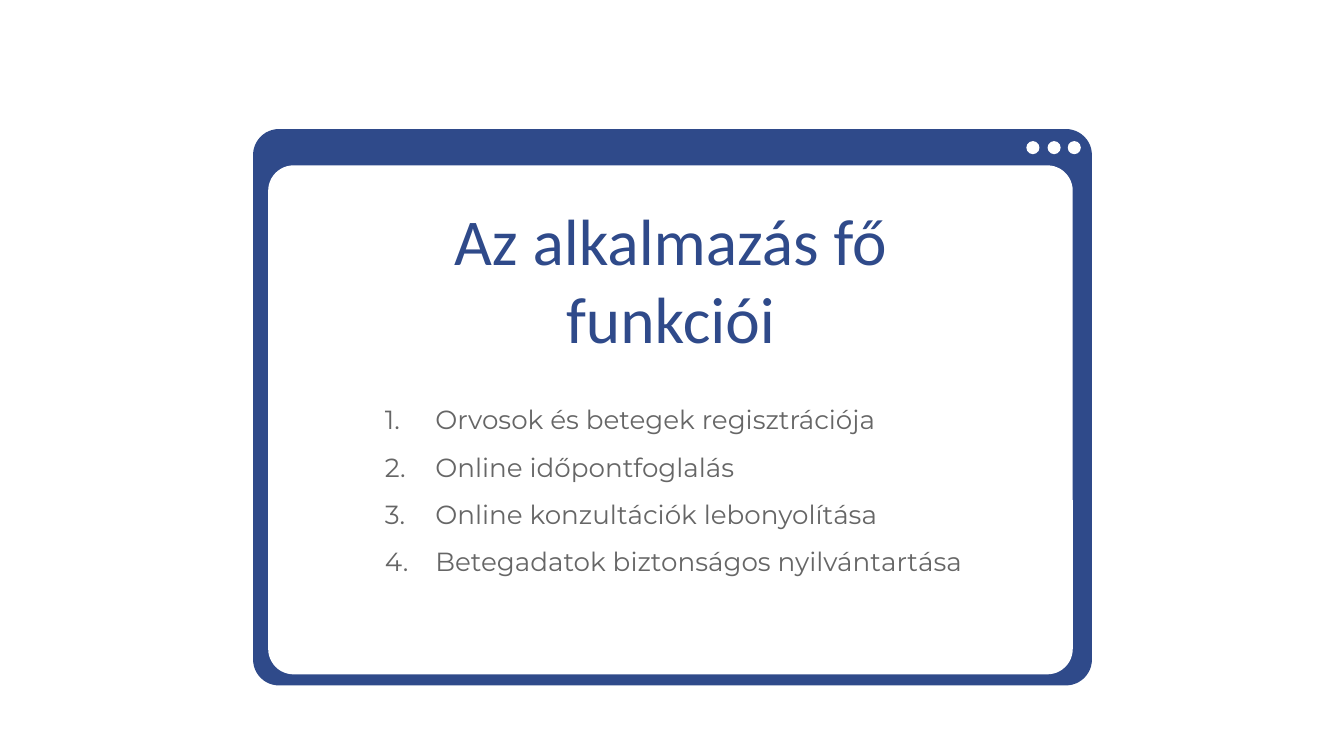
from lxml import etree
from pptx import Presentation
from pptx.dml.color import RGBColor
from pptx.enum.shapes import MSO_SHAPE
from pptx.enum.text import MSO_ANCHOR, PP_ALIGN
from pptx.oxml.ns import qn
from pptx.util import Pt

PX = 9144  # 100 px to the inch
ROUND, OVAL = MSO_SHAPE.ROUNDED_RECTANGLE, MSO_SHAPE.OVAL
TOP, BOTTOM = MSO_ANCHOR.TOP, MSO_ANCHOR.BOTTOM
CENTER, JUSTIFY = PP_ALIGN.CENTER, PP_ALIGN.JUSTIFY
COLORS = {"blue": "2F4A8A", "white": "FFFFFF", "gray": "666666"}

deck = Presentation()
deck.slide_width, deck.slide_height = 1333 * PX, 750 * PX
slide = deck.slides.add_slide(deck.slide_layouts[6])


def add_form(kind, box, color):
    form = slide.shapes.add_shape(kind, *[n * PX for n in box])
    form.shadow.inherit = False
    form.fill.solid()
    form.fill.fore_color.rgb = RGBColor.from_string(COLORS[color])
    form.line.fill.background()
    return form


def add_text(box, lines, anchor, align, font):
    """Add a text box with one paragraph per line and return its paragraphs."""
    frame = slide.shapes.add_textbox(*[n * PX for n in box]).text_frame
    frame.word_wrap = True
    frame.vertical_anchor = anchor
    for side in ("left", "top", "right", "bottom"):
        setattr(frame, "margin_" + side, 10 * PX)
    frame.text = "\n".join(lines)
    for para in frame.paragraphs:
        para.alignment = align
        run = para.runs[0]
        for name in ("name", "size"):
            setattr(run.font, name, font[name])
        run.font.color.rgb = RGBColor.from_string(COLORS[font["color"]])
    return frame.paragraphs


# Browser window
window = add_form(ROUND, (251, 128, 832, 552), "blue")
window.adjustments[0] = 0.14 / 3
page = add_form(ROUND, (266, 164, 798, 505), "white")
page.adjustments[0] = 0.05
for left in (1059, 1039, 1018):
    add_form(OVAL, (left, 140, 13, 13), "white")

# Numbered list of functions
items = [
    "Orvosok és betegek regisztrációja",
    "Online időpontfoglalás",
    "Online konzultációk lebonyolítása",
    "Betegadatok biztonságos nyilvántartása",
]
body = {"name": "Montserrat", "size": Pt(18.7), "color": "gray"}
for para in add_text((356, 375, 618, 238), items, TOP, JUSTIFY, body):
    para.line_spacing = 1.5
    props = para._p.get_or_add_pPr()
    props.set("marL", str(66 * PX))
    props.set("indent", str(-50 * PX))
    tint = etree.SubElement(props, qn("a:buClr"))
    etree.SubElement(tint, qn("a:srgbClr"), val=COLORS["gray"])
    etree.SubElement(props, qn("a:buFont"), typeface="Montserrat")
    etree.SubElement(props, qn("a:buAutoNum"), type="arabicPeriod")

head = {"name": "Calibri", "size": Pt(46.7), "color": "blue"}
add_text((356, 200, 618, 164), ["Az alkalmazás fő funkciói"], BOTTOM, CENTER, head)

deck.save("out.pptx")
